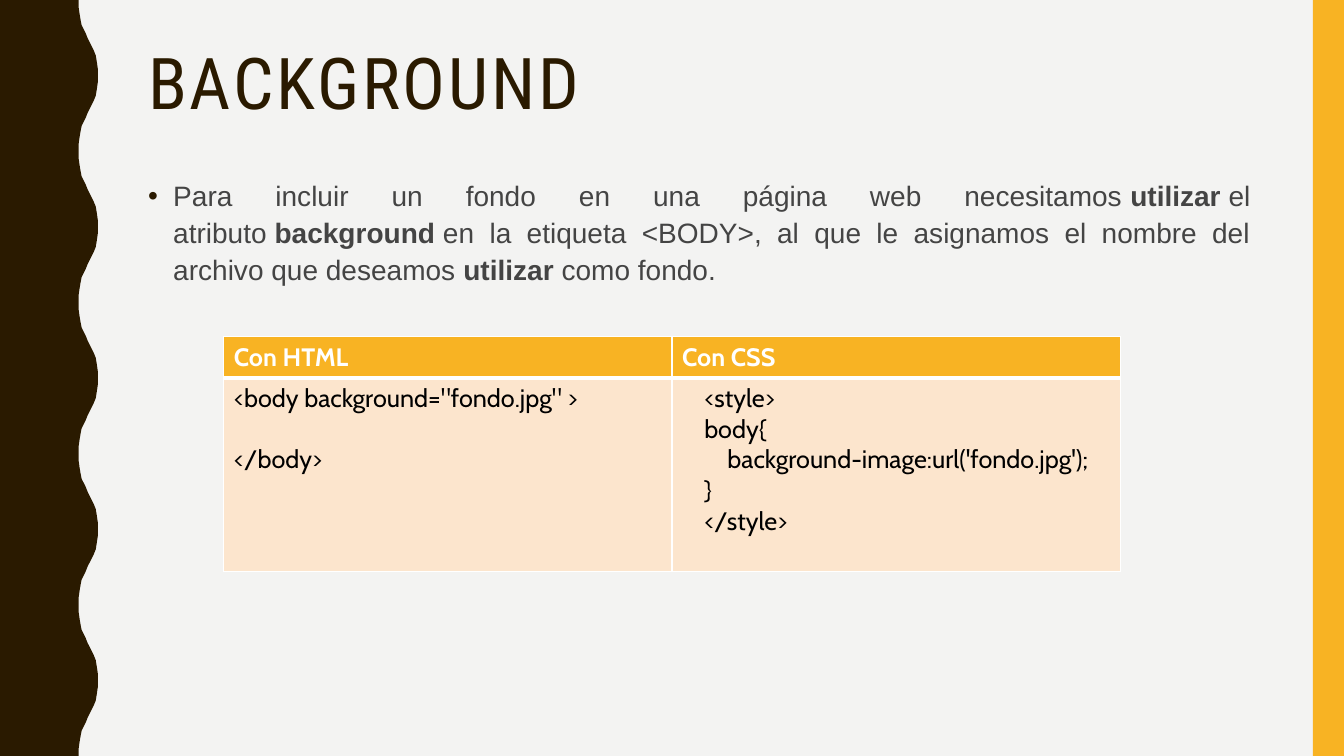
from lxml import etree
from pptx import Presentation, util as u
from pptx.dml.color import RGBColor
from pptx.enum import shapes, text
from pptx.oxml.ns import qn

BROWN, AMBER, PEACH = "2A1A00", "F8B323", "FCE5CD"
GREY, WHITE, BLACK, PAPER = "444444", "FFFFFF", "000000", "F3F3F2"

# Half a wave in hundredths of an inch: from the trough at y = 0 to the crest at y = 75
HALF_WAVE = [(78, 0), (78, 7), (79, 14), (80, 20), (81, 25), (83, 29), (85, 33), (87, 38),
             (89, 42), (91, 46), (93, 50), (95, 55), (96, 61), (97, 68), (97, 75)]
PERIOD = 150

NBSP = chr(160)  # keeps the bold words tied to their neighbours

INTRO = [("Para incluir un fondo en una página web necesitamos" + NBSP, False),
         ("utilizar", True),
         (NBSP + "el atributo" + NBSP, False),
         ("background", True),
         (NBSP + "en la etiqueta <BODY>, al que le asignamos el nombre del archivo "
          "que deseamos" + NBSP, False),
         ("utilizar", True),
         (NBSP + "como fondo.", False)]

# Each code line: text, indent in inches, space before in points
HTML_CODE = [('<body background="fondo.jpg" >', 0, 0), ("</body>", 0, 22)]
CSS_CODE = [("<style>", 0.22, 0), ("body{", 0.22, 0),
            ("background-image:url('fondo.jpg');", 0.45, 0),
            ("}", 0.22, 0), ("</style>", 0.22, 0)]


def rgb(value):
    return RGBColor.from_string(value)


def apply(target, formats):
    for name, value in formats.items():
        setattr(target, name, value)


class SlideBuilder:
    def __init__(self, prs):
        self.s = prs.slides.add_slide(prs.slide_layouts[5])
        self.height = prs.slide_height.inches
        self.s.background.fill.solid()
        self.s.background.fill.fore_color.rgb = rgb(PAPER)

    def paint(self, sp, color):
        sp.shadow.inherit = False
        sp.fill.solid()
        sp.fill.fore_color.rgb = rgb(color)
        sp.line.fill.background()

    def run(self, p, content, font, size, color, bold=False):
        r = p.add_run()
        r.text = content
        apply(r.font, {"name": font, "size": u.Pt(size), "bold": bold})
        r.font.color.rgb = rgb(color)
        return r

    def frame(self, sp, box):
        """Place a text shape and return its first paragraph."""
        apply(sp, dict(zip(("left", "top", "width", "height"), map(u.Inches, box))))
        apply(sp.text_frame, {"word_wrap": True, "auto_size": text.MSO_AUTO_SIZE.NONE,
                              "vertical_anchor": text.MSO_ANCHOR.TOP})
        return sp.text_frame.paragraphs[0]

    def wave(self, color):
        crest = HALF_WAVE[-1][1]
        bottom = round(self.height * 100)
        cycle = HALF_WAVE + [(x, 2 * crest - y) for x, y in HALF_WAVE[-2::-1]]
        edge = [(x, y + top) for top in range(0, bottom, PERIOD) for x, y in cycle]
        builder = self.s.shapes.build_freeform(0, 0, scale=u.Inches(0.01))
        builder.add_line_segments(edge + [(0, bottom)], close=True)
        self.paint(builder.convert_to_shape(), color)

    def bar(self, left, width, color):
        sp = self.s.shapes.add_shape(shapes.MSO_SHAPE.RECTANGLE, u.Inches(left), 0,
                                     u.Inches(width), u.Inches(self.height))
        self.paint(sp, color)

    def title(self, content, box):
        p = self.frame(self.s.shapes.title, box)
        apply(p, {"alignment": text.PP_ALIGN.LEFT, "line_spacing": 0.9})
        r = self.run(p, content, "Roboto Condensed", 51, BROWN)
        r.font._element.set("spc", "200")

    def bullet(self, runs, box):
        p = self.frame(self.s.shapes.add_textbox(0, 0, 0, 0), box)
        apply(p, {"alignment": text.PP_ALIGN.JUSTIFY, "line_spacing": 1.1,
                  "space_before": u.Pt(7)})
        pPr = p._p.get_or_add_pPr()
        pPr.set("marL", str(u.Inches(0.25)))
        pPr.set("indent", str(u.Inches(-0.25)))
        color = etree.SubElement(pPr, qn("a:buClr"))
        etree.SubElement(color, qn("a:srgbClr"), val=BROWN)
        etree.SubElement(pPr, qn("a:buFont"), typeface="Arial")
        etree.SubElement(pPr, qn("a:buChar"), char="•")
        for content, bold in runs:
            self.run(p, content, "Arial", 20, GREY, bold)

    def cell(self, cell, lines, fill, color, bold, bottom):
        tcPr = cell._tc.get_or_add_tcPr()
        for side, width in (("L", 1), ("R", 1), ("T", 1), ("B", bottom)):
            ln = etree.SubElement(tcPr, qn(f"a:ln{side}"), w=str(u.Pt(width)))
            solid = etree.SubElement(ln, qn("a:solidFill"))
            etree.SubElement(solid, qn("a:srgbClr"), val=WHITE)
        cell.fill.solid()
        cell.fill.fore_color.rgb = rgb(fill)
        tf = cell.text_frame
        for i, (content, indent, before) in enumerate(lines):
            p = tf.add_paragraph() if i else tf.paragraphs[0]
            p.space_before = u.Pt(before)
            p._p.get_or_add_pPr().set("marL", str(u.Inches(indent)))
            self.run(p, content, "Cabin", 18, color, bold)

    def comparison(self, columns, box, header_height):
        """Table with one header and one block of code per column."""
        height = box[3]
        table = self.s.shapes.add_table(2, len(columns), *map(u.Inches, box)).table
        table.rows[0].height = u.Inches(header_height)
        table.rows[1].height = u.Inches(height - header_height)
        for i, (heading, code) in enumerate(columns):
            self.cell(table.cell(0, i), [(heading, 0, 0)], AMBER, WHITE, True, 3)
            self.cell(table.cell(1, i), code, PEACH, BLACK, False, 1)


def main():
    prs = Presentation()
    apply(prs, {"slide_width": u.Inches(13.33), "slide_height": u.Inches(7.5)})
    slide = SlideBuilder(prs)
    slide.wave(BROWN)
    slide.bar(13.02, 0.31, AMBER)
    slide.title("BACKGROUND", (1.37, 0.42, 11.13, 1.63))
    slide.bullet(INTRO, (1.37, 1.69, 11.13, 1.43))
    slide.comparison([("Con HTML", HTML_CODE), ("Con CSS", CSS_CODE)],
                     (2.22, 3.34, 8.89, 2.33), 0.41)
    prs.save("out.pptx")


if __name__ == "__main__":
    main()
